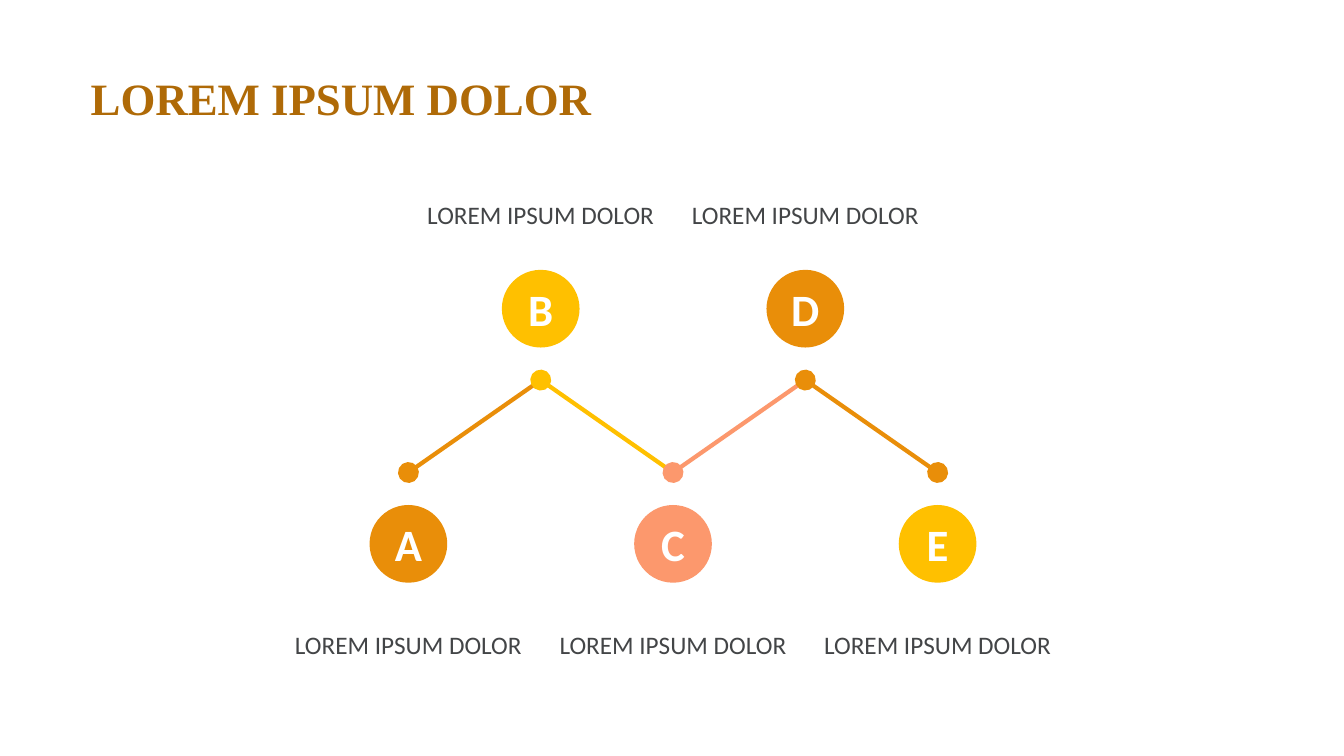
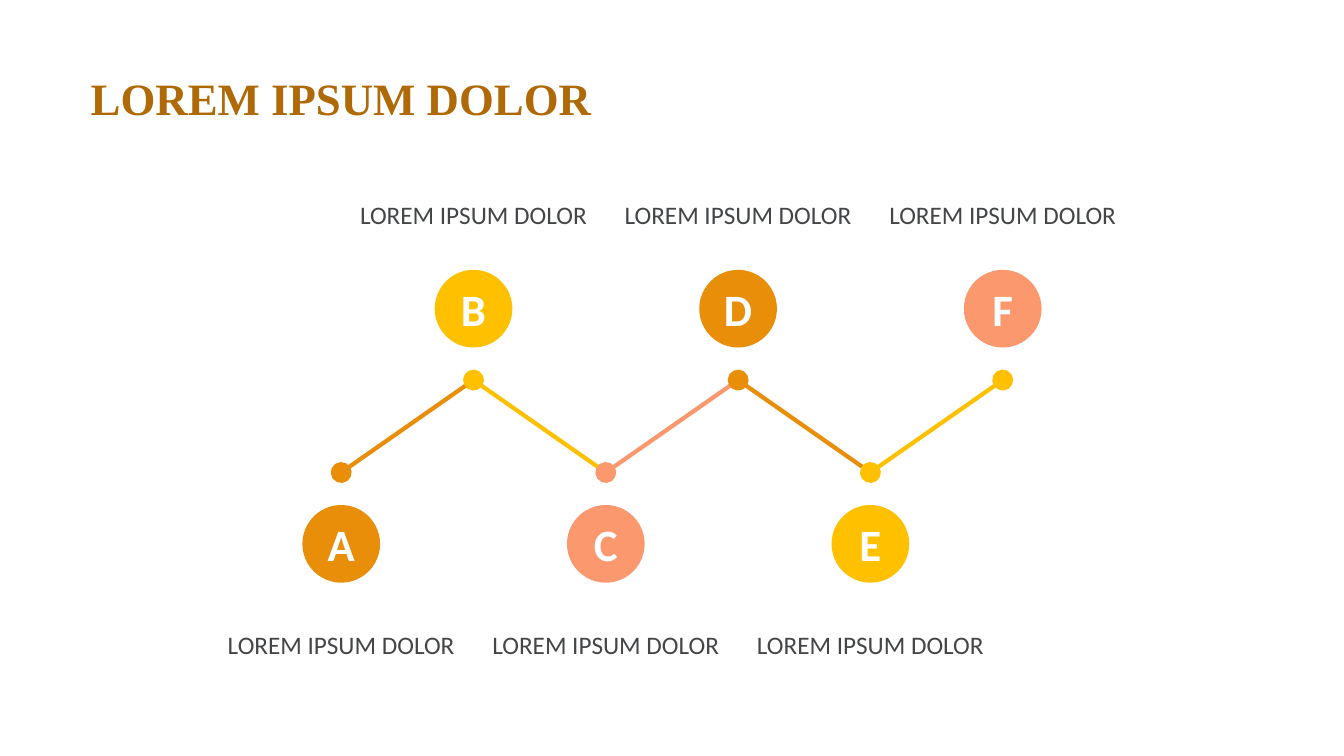
"""Build two zigzag timeline slides with lettered milestones."""
import dataclasses
import itertools
import typing

import pptx
import pptx.dml.color
import pptx.enum.shapes
import pptx.enum.text
import pptx.oxml
import pptx.oxml.ns
import pptx.util

PX = 9525


@dataclasses.dataclass(frozen=True)
class Theme:
    accents: tuple[str, ...] = ("E98E09", "FFC000", "FC986D")
    title: str = "AF6A07"
    body: str = "434547"
    white: str = "FFFFFF"
    title_font: str = "Times New Roman"
    body_font: str = "Calibri"
    large: int = 32
    small: int = 18
    stroke: int = 3


@dataclasses.dataclass(frozen=True)
class Row:
    dot_y: int
    circle_top: int
    label_top: int


@dataclasses.dataclass(frozen=True)
class Milestone:
    letter: str
    label: str
    x: int
    row: Row
    color: str


@dataclasses.dataclass(frozen=True)
class Timeline:
    title: str
    letters: str
    first_x: int


THEME = Theme()
LOWER = Row(dot_y=450, circle_top=481, label_top=555)
UPPER = Row(dot_y=362, circle_top=257, label_top=145)
STEP = 126
CIRCLE = 74
LABEL_WIDTH, LABEL_HEIGHT = 222, 112
LABEL = "LOREM IPSUM DOLOR"
TIMELINES = (
    Timeline("LOREM IPSUM DOLOR", "ABCDE", 389),
    Timeline("LOREM IPSUM DOLOR", "ABCDEF", 325),
)


def px(*lengths: int) -> list[pptx.util.Emu]:
    """Turn pixel lengths into EMU."""
    return [pptx.util.Emu(length * PX) for length in lengths]


def rgb(color: str) -> pptx.dml.color.RGBColor:
    """Turn a hex string into a colour."""
    return pptx.dml.color.RGBColor.from_string(color)


def write(box: typing.Any, text: str, font: str, size: int, color: str,
          bold: bool = False, centered: bool = True, spacing: float = 1.0,
          anchor: typing.Any = pptx.enum.text.MSO_ANCHOR.MIDDLE) -> None:
    """Put one formatted paragraph into a shape."""
    frame = box.text_frame
    frame.text = text
    frame.word_wrap = True
    frame.vertical_anchor = anchor
    para = frame.paragraphs[0]
    para.line_spacing = spacing
    align = pptx.enum.text.PP_ALIGN
    para.alignment = align.CENTER if centered else align.LEFT
    span = para.runs[0]
    span.font.name = font
    span.font.size = pptx.util.Pt(size)
    span.font.bold = bold
    span.font.color.rgb = rgb(color)


def add_title(page: typing.Any, text: str) -> None:
    """Add the slide title."""
    box = page.shapes.add_textbox(*px(77, 50, 1126, 74))
    write(box, text, THEME.title_font, THEME.large, THEME.title, bold=True,
          centered=False, spacing=0.9, anchor=pptx.enum.text.MSO_ANCHOR.BOTTOM)


def add_segment(page: typing.Any, start: Milestone, end: Milestone,
                is_last: bool) -> None:
    """Join two milestones, with a dot at the start and at the last end."""
    line = page.shapes.add_connector(
        pptx.enum.shapes.MSO_CONNECTOR.STRAIGHT,
        *px(start.x, start.row.dot_y, end.x, end.row.dot_y))
    line.line.color.rgb = rgb(start.color)
    line.line.width = pptx.util.Pt(THEME.stroke)
    properties = line.line._get_or_add_ln()
    for tag in ("a:headEnd", "a:tailEnd") if is_last else ("a:headEnd",):
        dot = pptx.oxml.xmlchemy.OxmlElement(tag)
        for name, value in (("type", "oval"), ("w", "lg"), ("len", "lg")):
            dot.set(name, value)
        properties.append(dot)
    line._element.spPr.append(pptx.oxml.xmlchemy.OxmlElement("a:effectLst"))


def add_milestone(page: typing.Any, stop: Milestone) -> None:
    """Add a group with a lettered circle and its label."""
    group = page.shapes.add_group_shape()
    circle = group.shapes.add_shape(
        pptx.enum.shapes.MSO_SHAPE.OVAL,
        *px(stop.x - CIRCLE // 2, stop.row.circle_top, CIRCLE, CIRCLE))
    circle.shadow.inherit = False
    circle.fill.solid()
    circle.fill.fore_color.rgb = rgb(stop.color)
    circle.line.fill.background()
    write(circle, stop.letter, THEME.body_font, THEME.large, THEME.white, bold=True)
    label = group.shapes.add_textbox(
        *px(stop.x - LABEL_WIDTH // 2, stop.row.label_top, LABEL_WIDTH, LABEL_HEIGHT))
    label.text_frame.margin_left = label.text_frame.margin_right = 0
    write(label, stop.label, THEME.body_font, THEME.small, THEME.body, spacing=1.2)


def add_timeline(deck: typing.Any, timeline: Timeline) -> None:
    """Add one slide with its zigzag of milestones."""
    page = deck.slides.add_slide(deck.slide_layouts[6])
    stops = [
        Milestone(letter, LABEL, timeline.first_x + index * STEP,
                  UPPER if index % 2 else LOWER,
                  THEME.accents[index % len(THEME.accents)])
        for index, letter in enumerate(timeline.letters)
    ]
    for start, end in itertools.pairwise(stops):
        add_segment(page, start, end, end is stops[-1])
    for stop in stops[::2] + stops[1::2]:
        add_milestone(page, stop)
    add_title(page, timeline.title)


def main() -> None:
    """Build and save the deck."""
    deck = pptx.Presentation()
    deck.slide_width, deck.slide_height = px(1280, 720)
    for timeline in TIMELINES:
        add_timeline(deck, timeline)
    deck.save("out.pptx")


if __name__ == "__main__":
    main()
